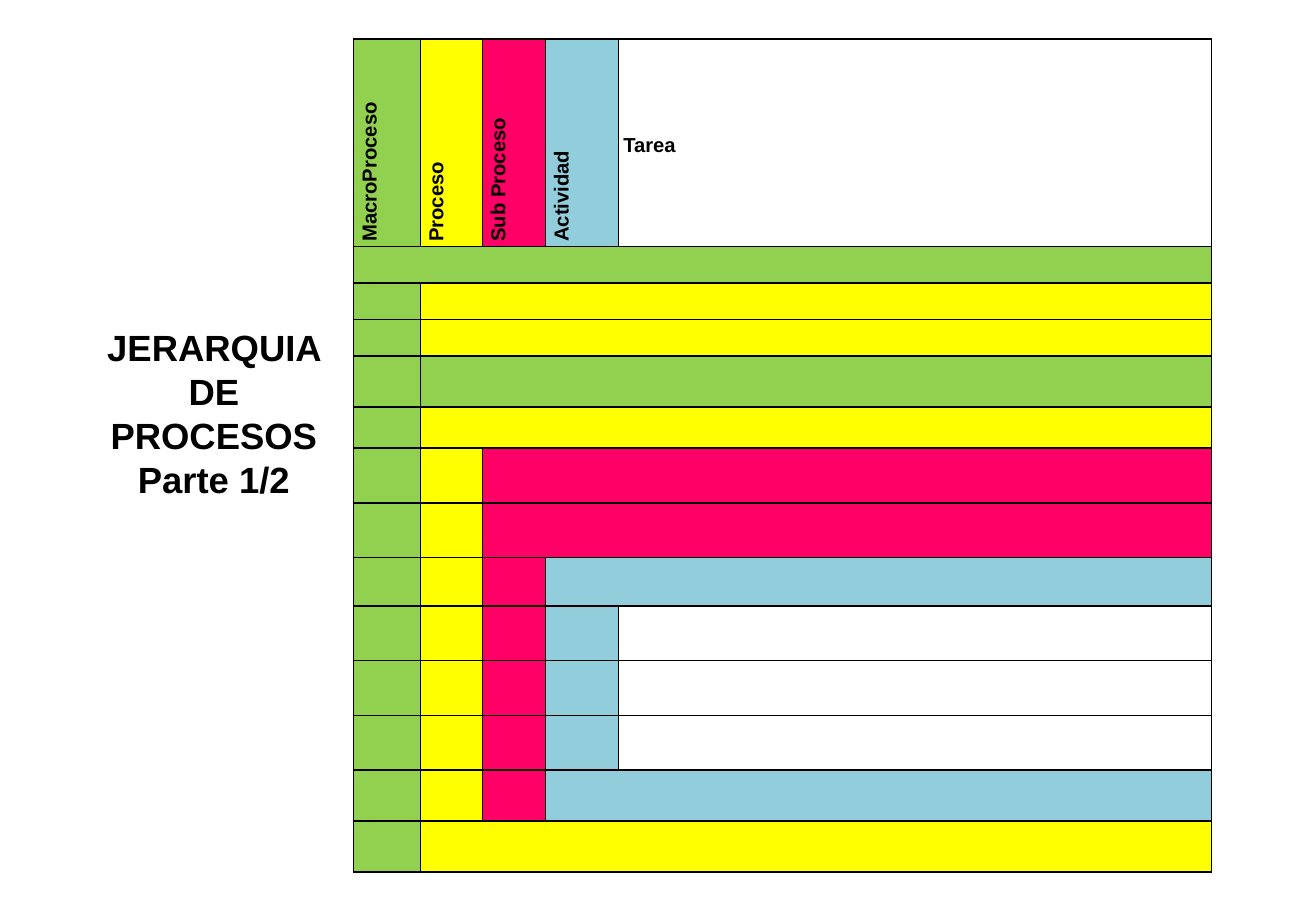
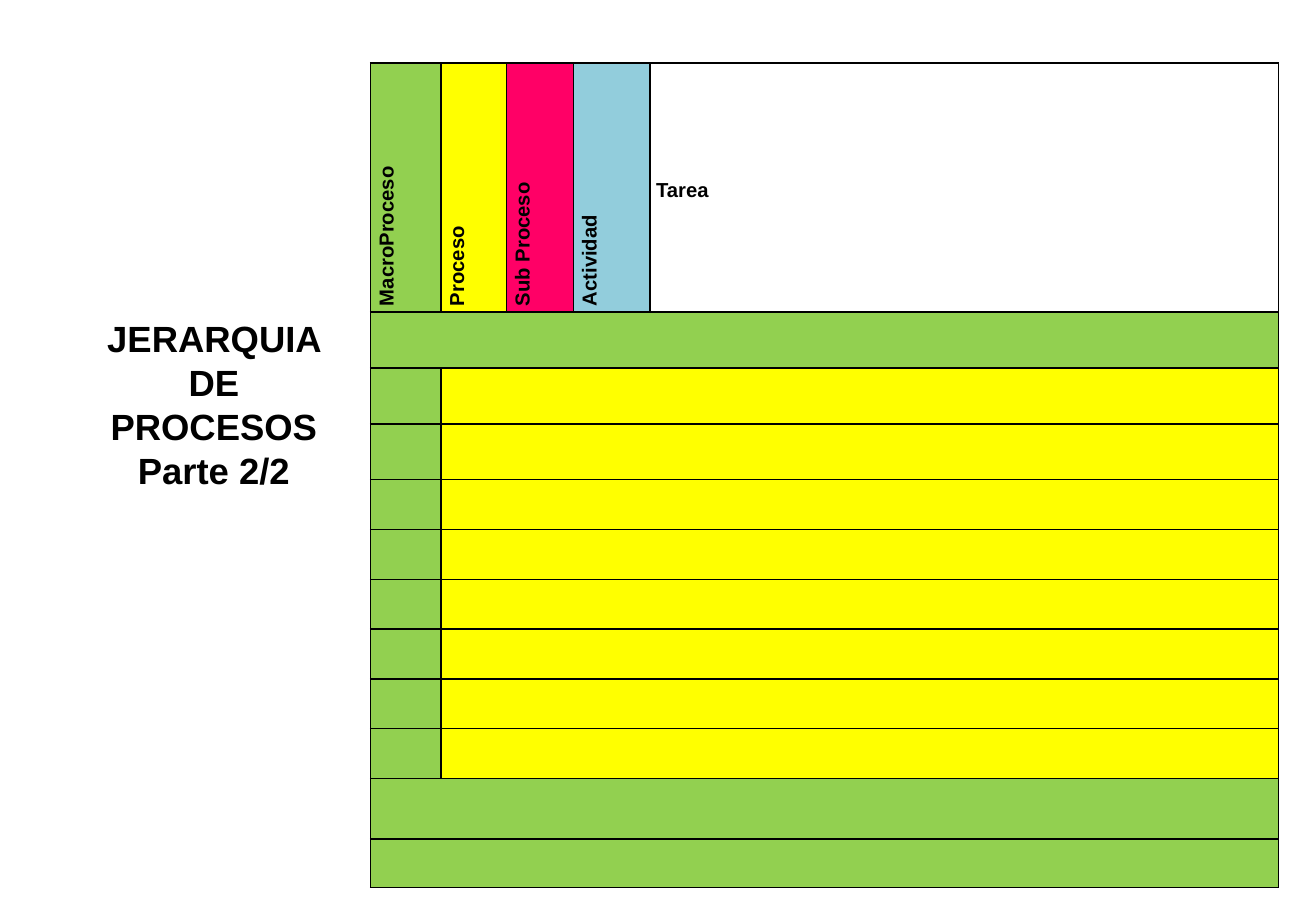
from lxml import etree
from pptx import Presentation
from pptx.dml.color import RGBColor
from pptx.enum import text
from pptx.oxml import ns
from pptx.util import Inches, Pt

COLORS = {
    "macro": "92D050",
    "process": "FFFF00",
    "subprocess": "FF0066",
    "activity": "92CDDC",
    "task": "FFFFFF",
    "ink": "000000",
}
FONT = "Arial"
LEVELS = ["macro", "process", "subprocess", "activity", "task"]
HEADERS = ["MacroProceso", "Proceso", "Sub Proceso", "Actividad", "Tarea"]

# Each row: height, level at which its bar starts, optional bar colour.
SLIDES = [
    {
        "title": "JERARQUIA DE PROCESOS\vParte 1/2",
        "title_height": 1.64,
        "origin": (2.91, 0.32),
        "columns": [0.55, 0.51, 0.52, 0.6, 4.88],
        "header_height": 1.71,
        "margin": 0.04,
        "rows": [
            (0.3, "macro"), (0.3, "process"), (0.3, "process"),
            (0.42, "process", "macro"), (0.34, "process"),
            (0.45, "subprocess"), (0.45, "subprocess"), (0.4, "activity"),
            (0.45, "task"), (0.45, "task"), (0.45, "task"),
            (0.42, "activity"), (0.42, "process"),
        ],
    },
    {
        "title": "JERARQUIA DE PROCESOS\vParte 2/2",
        "title_height": 1.49,
        "origin": (3.05, 0.52),
        "columns": [0.58, 0.54, 0.55, 0.63, 5.17],
        "header_height": 2.05,
        "margin": 0.05,
        "rows": [(0.46, "macro")] + [(0.46, "process")] * 2
        + [(0.41, "process")] * 6 + [(0.5, "macro"), (0.4, "macro")],
    },
]


def style_runs(paragraph, size):
    """Give every run of a paragraph the shared bold black type."""
    for run in paragraph.runs:
        run.font.name = FONT
        run.font.size = Pt(size)
        run.font.bold = True
        run.font.color.rgb = RGBColor.from_string(COLORS["ink"])


def add_title(slide, title, height):
    """Write the centred title to the left of the table."""
    box = slide.shapes.add_textbox(Inches(0.65), Inches(2.58), Inches(2.22), Inches(height))
    frame = box.text_frame
    frame.word_wrap = True
    frame.vertical_anchor = text.MSO_ANCHOR.MIDDLE
    paragraph = frame.paragraphs[0]
    paragraph.text = title
    paragraph.alignment = text.PP_ALIGN.CENTER
    style_runs(paragraph, 21.6)


def format_cell(cell, color, margin):
    """Set a cell's margins, black one-point borders and fill."""
    cell.margin_left = cell.margin_right = Inches(margin)
    cell.margin_top, cell.margin_bottom = Inches(0.01), 0
    properties = cell._tc.get_or_add_tcPr()
    for side in ("L", "R", "T", "B"):
        line = etree.SubElement(properties, ns.qn("a:ln" + side), w=str(Pt(1)))
        fill = etree.SubElement(line, ns.qn("a:solidFill"))
        etree.SubElement(fill, ns.qn("a:srgbClr"), val=COLORS["ink"])
    cell.fill.solid()
    cell.fill.fore_color.rgb = RGBColor.from_string(COLORS[color])


def write_header(cell, label, level):
    """Write a column heading, turned upright except for the tasks."""
    paragraph = cell.text_frame.paragraphs[0]
    paragraph.text = label
    paragraph.alignment = text.PP_ALIGN.JUSTIFY
    paragraph.line_spacing = 1.15
    paragraph.space_after = Pt(10)
    style_runs(paragraph, 12)
    if level != "subprocess":
        cell.vertical_anchor = text.MSO_ANCHOR.MIDDLE
    if level != "task":
        cell._tc.get_or_add_tcPr().set("vert", "vert270")


def shrink_empty(cell):
    """Keep an empty cell's line from stretching its row."""
    paragraph = cell.text_frame.paragraphs[0]
    etree.SubElement(paragraph._p, ns.qn("a:endParaRPr"), sz="1200")


def add_hierarchy(slide, content):
    """Draw the table whose bars start at the column of their level."""
    columns, rows = content["columns"], content["rows"]
    heights = [content["header_height"]] + [row[0] for row in rows]
    left, top = content["origin"]
    frame = slide.shapes.add_table(
        len(heights), len(columns), Inches(left), Inches(top),
        Inches(sum(columns)), Inches(sum(heights)))
    table = frame.table
    table.first_row = table.horz_banding = False
    for column, width in zip(table.columns, columns):
        column.width = Inches(width)
    for row, height in zip(table.rows, heights):
        row.height = Inches(height)

    for index, (label, level) in enumerate(zip(HEADERS, LEVELS)):
        cell = table.cell(0, index)
        format_cell(cell, level, content["margin"])
        write_header(cell, label, level)

    last = len(columns) - 1
    for number, (_, level, *override) in enumerate(rows, start=1):
        start = LEVELS.index(level)
        bar_color = override[0] if override else level
        for index in range(len(columns)):
            cell = table.cell(number, index)
            format_cell(cell, LEVELS[index] if index < start else bar_color, content["margin"])
            shrink_empty(cell)
        if start < last:
            table.cell(number, start).merge(table.cell(number, last))


def main():
    """Build and save the presentation."""
    presentation = Presentation()
    presentation.slide_width = Inches(10.83)
    presentation.slide_height = Inches(7.5)
    for content in SLIDES:
        slide = presentation.slides.add_slide(presentation.slide_layouts[6])
        add_title(slide, content["title"], content["title_height"])
        add_hierarchy(slide, content)
    presentation.save("out.pptx")


main()
